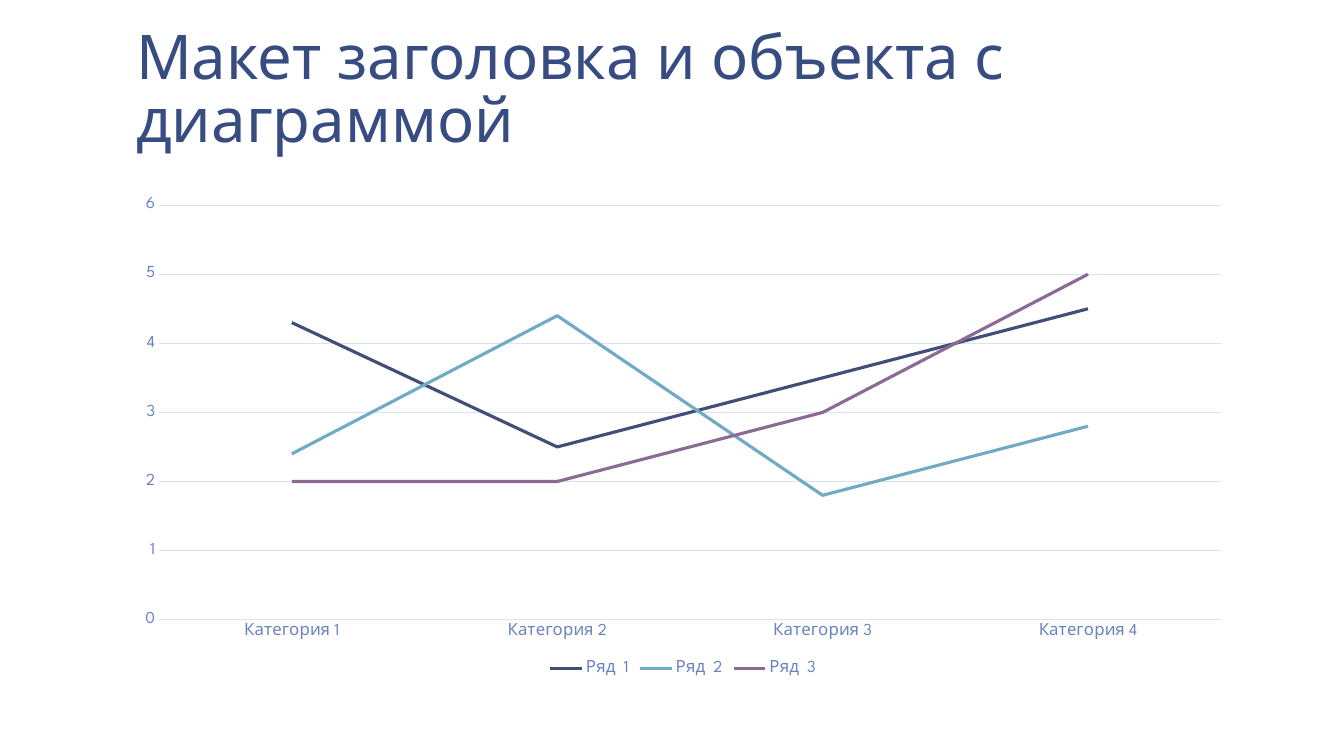
from pptx import Presentation, util as u
from pptx.chart.data import CategoryChartData
from pptx.dml.color import RGBColor
from pptx.enum import chart as ch, text

# Content
TITLE = "Макет заголовка и объекта с диаграммой"
CATEGORIES = [f"Категория {number}" for number in range(1, 5)]
NAVY = RGBColor(0x41, 0x4E, 0x77)
TEAL = RGBColor(0x70, 0xAA, 0xC4)
PLUM = RGBColor(0x8B, 0x6A, 0x94)
SERIES = [
    ("Ряд  1", (4.3, 2.5, 3.5, 4.5), NAVY),
    ("Ряд  2", (2.4, 4.4, 1.8, 2.8), TEAL),
    ("Ряд  3", (2, 2, 3, 5), PLUM),
]

# Formats
TITLE_BLUE = RGBColor(0x37, 0x4C, 0x81)
LABEL_BLUE = RGBColor(0x6A, 0x83, 0xC0)
GRID_BLUE = RGBColor(0xDD, 0xE2, 0xF0)
WHITE = RGBColor(0xFF, 0xFF, 0xFF)
FACE = "League Spartan"
TITLE_FONT = {"name": FACE, "size": u.Pt(44), "color": TITLE_BLUE}
CHART_FONT = {"name": FACE, "size": u.Pt(10), "color": TITLE_BLUE}
LABEL_FONT = {"name": FACE, "size": u.Pt(12), "color": LABEL_BLUE}
TITLE_FRAME = {
    "word_wrap": True,
    "auto_size": text.MSO_AUTO_SIZE.NONE,
    "vertical_anchor": text.MSO_ANCHOR.BOTTOM,
    "margin_left": u.Inches(0.13),
    "margin_right": u.Inches(0.13),
    "margin_top": u.Inches(0.07),
    "margin_bottom": u.Inches(0.07),
}
VALUE_SCALE = {"minimum_scale": 0, "maximum_scale": 6, "major_unit": 1}

# Layout: one centred column, rows as (top, height)
WIDTH, HEIGHT = 13.33, 7.5
COLUMN_WIDTH = 11.11
COLUMN_LEFT = 1.22
TITLE_ROW = (0.08, 1.53)
CHART_ROW = (1.86, 4.89)


def place(row):
    top, height = row
    return [u.Inches(length) for length in (COLUMN_LEFT, top, COLUMN_WIDTH, height)]


def set_all(target, values):
    for name, value in values.items():
        setattr(target, name, value)


def style_font(font, values):
    for name, value in values.items():
        if name == "color":
            font.color.rgb = value
        else:
            setattr(font, name, value)


def style_line(line, color, width):
    line.color.rgb = color
    line.width = u.Pt(width)


def add_title(slide):
    frame = slide.shapes.add_textbox(*place(TITLE_ROW)).text_frame
    set_all(frame, TITLE_FRAME)
    paragraph = frame.paragraphs[0]
    paragraph.line_spacing = 0.85
    run = paragraph.add_run()
    run.text = TITLE
    style_font(run.font, TITLE_FONT)


def add_line_chart(slide):
    data = CategoryChartData()
    data.categories = CATEGORIES
    for name, values, _ in SERIES:
        data.add_series(name, values)
    chart = slide.shapes.add_chart(ch.XL_CHART_TYPE.LINE, *place(CHART_ROW), data).chart
    chart.has_title = False
    style_font(chart.font, CHART_FONT)

    # Series lines
    for series, (_, _, color) in zip(chart.plots[0].series, SERIES):
        series.smooth = False
        series.marker.style = ch.XL_MARKER_STYLE.NONE
        style_line(series.format.line, color, 2.25)

    # Axes and gridlines
    for axis in (chart.category_axis, chart.value_axis):
        axis.major_tick_mark = axis.minor_tick_mark = ch.XL_TICK_MARK.NONE
        style_font(axis.tick_labels.font, LABEL_FONT)
    style_line(chart.category_axis.format.line, GRID_BLUE, 0.75)
    set_all(chart.value_axis, VALUE_SCALE)
    chart.value_axis.format.line.fill.background()
    style_line(chart.value_axis.major_gridlines.format.line, GRID_BLUE, 0.75)

    # Legend
    chart.has_legend = True
    chart.legend.position = ch.XL_LEGEND_POSITION.BOTTOM
    chart.legend.include_in_layout = False
    style_font(chart.legend.font, LABEL_FONT)


def main():
    presentation = Presentation()
    presentation.slide_width = u.Inches(WIDTH)
    presentation.slide_height = u.Inches(HEIGHT)
    slide = presentation.slides.add_slide(presentation.slide_layouts[6])
    slide.background.fill.solid()
    slide.background.fill.fore_color.rgb = WHITE
    add_title(slide)
    add_line_chart(slide)
    presentation.save("out.pptx")


if __name__ == "__main__":
    main()
